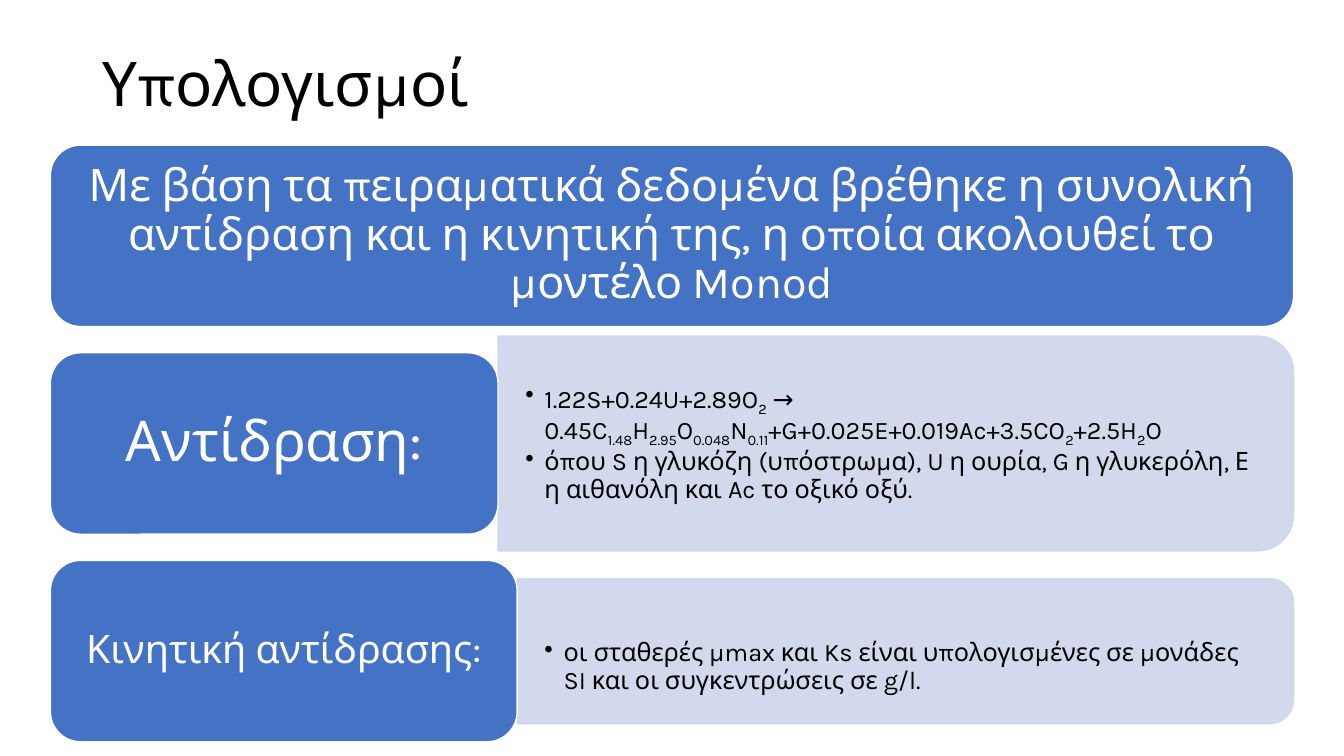
from lxml import etree
from pptx import Presentation
from pptx.dml.color import RGBColor
from pptx.enum.shapes import MSO_SHAPE
from pptx.enum.text import MSO_ANCHOR, MSO_AUTO_SIZE, PP_ALIGN
from pptx.oxml.ns import qn
from pptx.util import Inches, Pt

ROUNDED, ROUNDED_END = MSO_SHAPE.ROUNDED_RECTANGLE, MSO_SHAPE.ROUND_2_SAME_RECTANGLE
LEFT, CENTER = PP_ALIGN.LEFT, PP_ALIGN.CENTER
MIDDLE, NO_FIT = MSO_ANCHOR.MIDDLE, MSO_AUTO_SIZE.NONE

FONT = "Karla"
COLORS = {"label": "4472C4", "panel": "CFD5EA", "light": "FFFFFF", "dark": "000000"}

TITLE = "Υπολογισμοί"
# Spans alternate between normal text and subscript.
REACTION = ["1.22S+0.24U+2.89O", "2", " → 0.45C", "1.48", "H", "2.95", "O", "0.048",
            "N", "0.11", "+G+0.025E+0.019Ac+3.5CO", "2", "+2.5H", "2", "O"]
SYMBOLS = ["όπου S η γλυκόζη (υπόστρωμα), U η ουρία, G η γλυκερόλη, Ε η αιθανόλη "
           "και Ac το οξικό οξύ."]
KINETICS = ["οι σταθερές μmax και Ks είναι υπολογισμένες σε μονάδες SI "
            "και οι συγκεντρώσεις σε g/l."]
ROWS = [
    {"label": "Με βάση τα πειραματικά δεδομένα βρέθηκε η συνολική αντίδραση και η "
              "κινητική της, η οποία ακολουθεί το μοντέλο Monod",
     "size": 32, "width": 12.33, "inset": 0.13, "bullets": []},
    {"label": "Αντίδραση:", "size": 40, "width": 4.44, "inset": 0.17,
     "bullets": [REACTION, SYMBOLS], "panel_height": 2.13, "drop": 0},
    {"label": "Κινητική αντίδρασης:", "size": 28, "width": 4.63, "inset": 0.12,
     "bullets": [KINETICS], "panel_height": 1.44, "drop": 0.32},
]
GRID_LEFT, GRID_RIGHT, GRID_TOP = 0.5, 12.83, 1.44
ROW_HEIGHT, ROW_STEP = 1.8, 2.06
PANEL_INSET, BULLET_INDENT = 0.27, 0.19


def set_frame(frame, inset_x, inset_y):
    values = {"word_wrap": True, "auto_size": NO_FIT, "vertical_anchor": MIDDLE,
              "margin_left": Inches(inset_x), "margin_right": Inches(inset_x),
              "margin_top": Inches(inset_y), "margin_bottom": Inches(inset_y)}
    for name, value in values.items():
        setattr(frame, name, value)


def write(para, spans, size, color, align):
    """Fill a paragraph, with every second span as subscript."""
    para.alignment, para.line_spacing = align, 0.9
    for index, text in enumerate(spans):
        span = para.add_run()
        span.text = text
        span.font.name, span.font.size = FONT, Pt(size)
        span.font.color.rgb = RGBColor.from_string(COLORS[color])
        if index % 2:
            span.font._element.set("baseline", "-25000")


def add_block(page, kind, place, fill, line):
    block = page.shapes.add_shape(kind, *map(Inches, place))
    block.shadow.inherit = False
    block.fill.solid()
    block.fill.fore_color.rgb = RGBColor.from_string(COLORS[fill])
    block.line.color.rgb = RGBColor.from_string(COLORS[line])
    block.line.width = Pt(1)
    return block


def add_panel(page, left, middle, width, height):
    """Add a translucent block rounded on its right side only."""
    center = left + width / 2
    place = (center - height / 2, middle - width / 2, height, width)
    panel = add_block(page, ROUNDED_END, place, "panel", "panel")
    panel.rotation = 90
    for color in panel._element.spPr.iter(qn("a:srgbClr")):
        etree.SubElement(color, qn("a:alpha")).set("val", "90000")


def add_bullets(page, bullets, place):
    frame = page.shapes.add_textbox(*map(Inches, place)).text_frame
    set_frame(frame, PANEL_INSET, PANEL_INSET / 2)
    for index, spans in enumerate(bullets):
        para = frame.add_paragraph() if index else frame.paragraphs[0]
        write(para, spans, 18, "dark", LEFT)
        para.space_after = Pt(2.7)
        props = para._p.get_or_add_pPr()
        props.set("marL", str(Inches(BULLET_INDENT)))
        props.set("indent", str(-Inches(BULLET_INDENT)))
        etree.SubElement(props, qn("a:buChar")).set("char", "•")


def add_row(page, index, row):
    top = GRID_TOP + index * ROW_STEP
    if row["bullets"]:
        left, middle = GRID_LEFT + row["width"], top + ROW_HEIGHT / 2
        width, height, drop = GRID_RIGHT - left, row["panel_height"], row["drop"]
        add_panel(page, left, middle, width, height)
        text_height = 0.9 * height
        add_bullets(page, row["bullets"],
                    (left, middle - text_height / 2 + drop,
                     width - 0.05 * height, text_height - drop))
    label = add_block(page, ROUNDED, (GRID_LEFT, top, row["width"], ROW_HEIGHT),
                      "label", "light")
    set_frame(label.text_frame, row["inset"], row["inset"] / 2)
    write(label.text_frame.paragraphs[0], [row["label"]], row["size"], "light", CENTER)


def main():
    deck = Presentation()
    deck.slide_width, deck.slide_height = Inches(13.33), Inches(7.5)
    page = deck.slides.add_slide(deck.slide_layouts[5])
    title = page.shapes.title
    title.left, title.top, title.width, title.height = map(Inches, (0.92, 0.13, 11.5, 1.45))
    set_frame(title.text_frame, 0.1, 0.05)
    write(title.text_frame.paragraphs[0], [TITLE], 44, "dark", LEFT)
    for index, row in enumerate(ROWS):
        add_row(page, index, row)
    deck.save("out.pptx")


if __name__ == "__main__":
    main()
